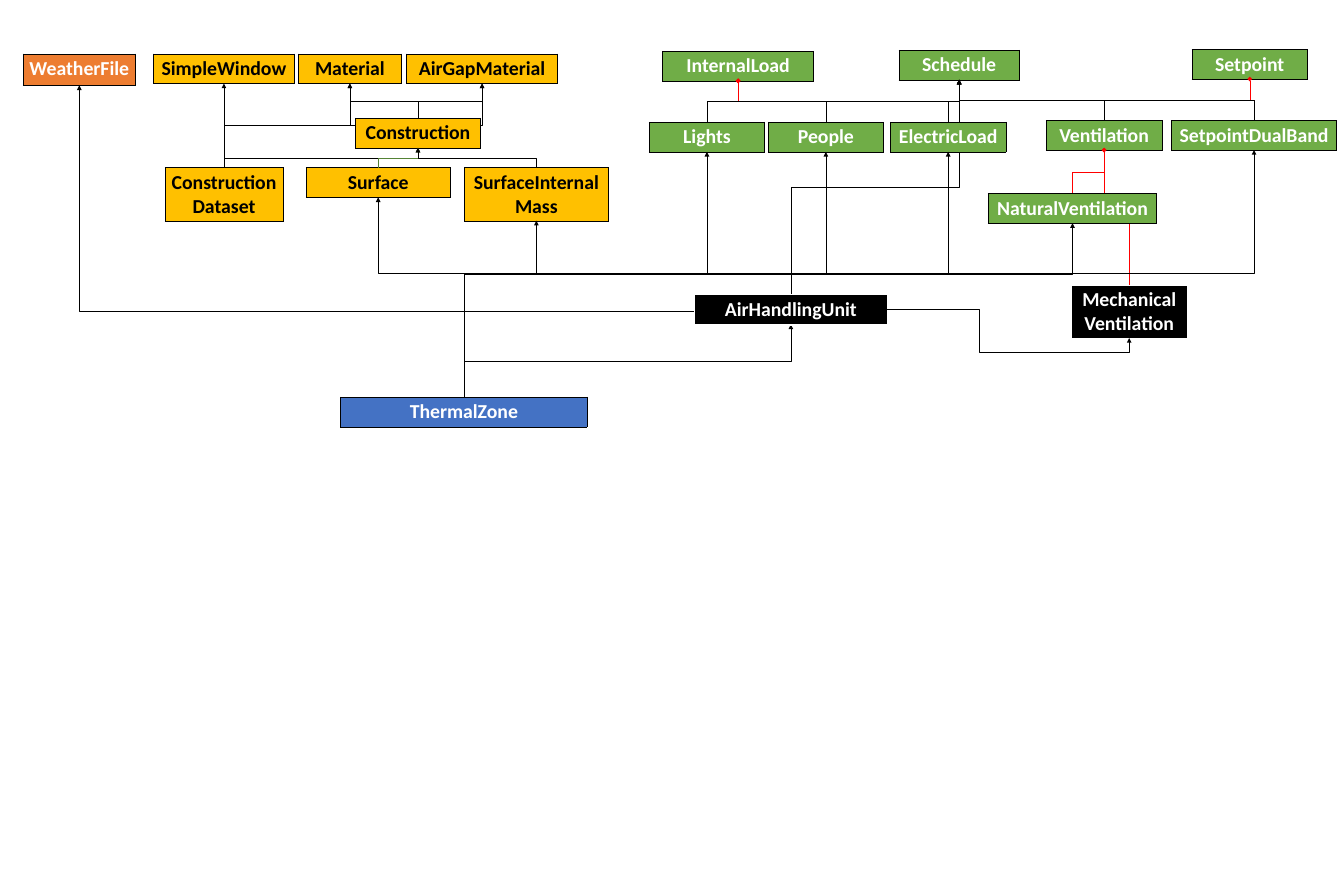
"""Build the class diagram of a thermal zone model."""
from pptx import Presentation
from pptx.dml.color import RGBColor
from pptx.enum.shapes import MSO_CONNECTOR
from pptx.enum.text import PP_ALIGN
from pptx.oxml.ns import qn
from pptx.util import Cm, Pt
from lxml.etree import SubElement

BLACK, WHITE, RED = "000000", "FFFFFF", "FF0000"
ORANGE, GOLD, GREEN, BLUE = "ED7D31", "FFC000", "70AD47", "4472C4"
LOW, TALL = 1.32, 2.36
BUS = 12.22

boxes = {
    "WeatherFile": (1.04, 2.41, 5, 1.4, ORANGE),
    "ConstructionDataset": (7.37, 7.49, 5.26, TALL, GOLD),
    "SimpleWindow": (6.86, 2.41, 6.27, LOW, GOLD),
    "Material": (13.31, 2.41, 4.62, LOW, GOLD),
    "AirGapMaterial": (18.14, 2.41, 6.76, LOW, GOLD),
    "Construction": (15.88, 5.28, 5.56, LOW, GOLD),
    "Surface": (13.67, 7.49, 6.43, LOW, GOLD),
    "SurfaceInternalMass": (20.73, 7.49, 6.43, TALL, GOLD),
    "ThermalZone": (15.21, 17.73, 11, LOW, BLUE),
    "Schedule": (40.13, 2.24, 5.38, LOW, GREEN),
    "InternalLoad": (29.57, 2.29, 6.76, LOW, GREEN),
    "Lights": (28.98, 5.46, 5.16, LOW, GREEN),
    "People": (34.29, 5.46, 5.16, LOW, GREEN),
    "ElectricLoad": (39.75, 5.46, 5.16, LOW, GREEN),
    "SetpointDualBand": (52.3, 5.38, 7.37, LOW, GREEN),
    "Setpoint": (53.21, 2.21, 5.16, LOW, GREEN),
    "Ventilation": (46.71, 5.38, 5.16, LOW, GREEN),
    "MechanicalVentilation": (47.83, 12.73, 5.16, TALL, BLACK),
    "NaturalVentilation": (44.12, 8.64, 7.52, LOW, GREEN),
    "AirHandlingUnit": (31.01, 13.16, 8.59, LOW, BLACK),
}

back = [("AirHandlingUnit", "Schedule", BLACK, None),
        ("ConstructionDataset", "AirGapMaterial", BLACK, None)]
front = [("Construction", "Material", BLACK, None),
         ("Construction", "AirGapMaterial", BLACK, None)]
for goal in ("SimpleWindow", "Material", "Construction"):
    front.append(("ConstructionDataset", goal, BLACK, None))
front += [("Surface", "Construction", "548235", None),
          ("SurfaceInternalMass", "Construction", BLACK, None)]
loads = ["Lights", "People", "ElectricLoad"]
for load in loads:
    front.append(("InternalLoad", load, RED, None))
front.append(("Setpoint", "SetpointDualBand", RED, None))
for user in loads + ["SetpointDualBand", "Ventilation"]:
    front.append((user, "Schedule", BLACK, None))
for kind in ("NaturalVentilation", "MechanicalVentilation"):
    front.append(("Ventilation", kind, RED, None))
for part in ["Surface", "SurfaceInternalMass", *loads,
             "SetpointDualBand", "NaturalVentilation"]:
    front.append(("ThermalZone", part, BLACK, BUS))
front += [("AirHandlingUnit", "WeatherFile", BLACK, 13.89),
          ("ThermalZone", "AirHandlingUnit", BLACK, None)]

deck = Presentation()
deck.slide_width, deck.slide_height = Cm(60), Cm(40)
slide = deck.slides.add_slide(deck.slide_layouts[6])


def finish(link, hue, preset, *bends):
    """Set the line, arrowhead and bend points of a connector."""
    link.line.width = Pt(0.5)
    link.line.color.rgb = RGBColor.from_string(hue)
    props = link._element.spPr
    tag, head = ("headEnd", "diamond") if hue == RED else ("tailEnd", "triangle")
    SubElement(props.find(qn("a:ln")), qn("a:" + tag), type=head)
    SubElement(props, qn("a:effectLst"))
    shape = props.find(qn("a:prstGeom"))
    shape.set("prst", preset)
    for num, bend in enumerate(bends, 1):
        SubElement(shape.find(qn("a:avLst")), qn("a:gd"),
                   name=f"adj{num}", fmla=f"val {round(bend * 100000)}")


def join(start, end, hue, level):
    """Draw an elbow that leaves one box vertically and enters another."""
    left, top, width, height, _ = boxes[start]
    left2, top2, width2, height2, _ = boxes[end]
    x1, x2 = left + width / 2, left2 + width2 / 2
    down = top < top2
    y1 = top + height if down else top
    y2 = top2 if down else top2 + height2
    dx, dy = x2 - x1, y2 - y1
    midx, midy = (x1 + x2) / 2, (y1 + y2) / 2
    halfx = abs(dy) / 2 * (1 if dx > 0 else -1)
    halfy = abs(dx) / 2 * (-1 if down else 1)
    link = slide.shapes.add_connector(
        MSO_CONNECTOR.ELBOW, Cm(midx + halfx), Cm(midy + halfy),
        Cm(midx - halfx), Cm(midy - halfy))
    turn = 90 if dx * dy < 0 else 270
    link._element.spPr.find(qn("a:xfrm")).set("rot", str(turn * 60000))
    bend = (level - y1) / dy if level else 0.5
    finish(link, hue, "bentConnector3", bend)


names = list(boxes)
for links, group in ((back, names[:-2]), (front, names[-2:])):
    for link in links:
        join(*link)
    for name in group:
        left, top, width, height, fill = boxes[name]
        table = slide.shapes.add_table(
            1, 1, Cm(left), Cm(top), Cm(width), Cm(height)).table
        table.first_row = table.horz_banding = False
        cell = table.cell(0, 0)
        cell.text = name
        props = cell._tc.get_or_add_tcPr()
        for side in "LRTB":
            size = Pt(3 if fill == BLACK and side == "B" else 1)
            edge = SubElement(props, qn("a:ln" + side), w=str(size))
            paint = SubElement(edge, qn("a:solidFill"))
            SubElement(paint, qn("a:srgbClr"),
                       val=WHITE if fill == BLACK else BLACK)
        cell.fill.solid()
        cell.fill.fore_color.rgb = RGBColor.from_string(fill)
        para = cell.text_frame.paragraphs[0]
        para.alignment = PP_ALIGN.CENTER
        para.font.name, para.font.size, para.font.bold = "Calibri", Pt(25), True
        para.font.color.rgb = RGBColor.from_string(BLACK if fill == GOLD else WHITE)

left, top, width, height, _ = boxes["AirHandlingUnit"]
left2, top2, width2, height2, _ = boxes["MechanicalVentilation"]
supply = slide.shapes.add_connector(
    MSO_CONNECTOR.ELBOW, Cm(left + width), Cm(top + height / 2),
    Cm(left2 + width2 / 2), Cm(top2 + height2))
finish(supply, BLACK, "bentConnector4", 0.38, 1.5)

deck.save("out.pptx")
